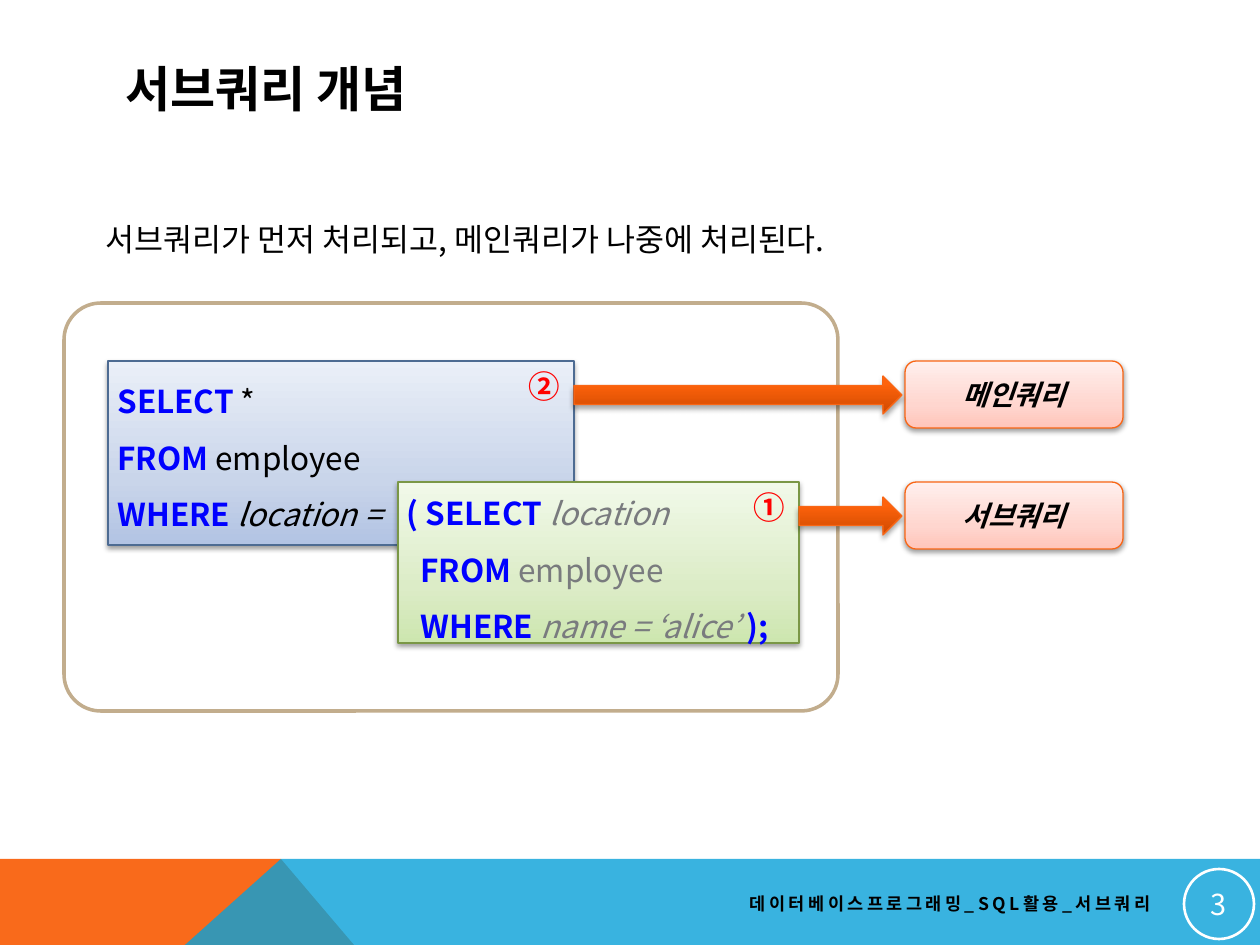
import lxml.etree
import pptx
import pptx.util
import pptx.dml.color
import pptx.enum.shapes
import pptx.enum.text
import pptx.oxml.ns

RGB = pptx.dml.color.RGBColor
KIND = pptx.enum.shapes.MSO_SHAPE
ALIGN = pptx.enum.text.PP_ALIGN
ANCHOR = pptx.enum.text.MSO_ANCHOR
FIT = pptx.enum.text.MSO_AUTO_SIZE
Pt = pptx.util.Pt
qn = pptx.oxml.ns.qn

SCALE = 914400 / 126
FONT = "Noto Sans CJK KR"
BLACK = RGB(0x00, 0x00, 0x00)
WHITE = RGB(0xFF, 0xFF, 0xFF)
BLUE = RGB(0x00, 0x00, 0xFF)
RED = RGB(0xFF, 0x00, 0x00)
GRAY = RGB(0x79, 0x7B, 0x7E)
TAN = RGB(0xC2, 0xAD, 0x8D)
ORANGE = RGB(0xF9, 0x6A, 0x1B)
SKY = RGB(0x08, 0xA1, 0xD9)
NAVY = RGB(0x4D, 0x6B, 0x92)
GREEN = RGB(0x7A, 0x97, 0x46)
RUST = RGB(0xF9, 0x66, 0x15)

# Gradient stops: percent and colour, from bottom to top
BLUES = [(0, RGB(0xB2, 0xC3, 0xE3)), (35, RGB(0xC9, 0xD5, 0xEA)), (100, RGB(0xEA, 0xEF, 0xF8))]
GREENS = [(0, RGB(0xCD, 0xE6, 0xAF)), (35, RGB(0xDC, 0xEC, 0xC7)), (100, RGB(0xF1, 0xF9, 0xE9))]
PINKS = [(0, RGB(0xFF, 0xC5, 0xBA)), (35, RGB(0xFF, 0xD6, 0xCF)), (100, RGB(0xFF, 0xEF, 0xED))]
FLAMES = [(0, RGB(0xCE, 0x49, 0x00)), (80, RGB(0xFF, 0x63, 0x0C)), (100, RGB(0xFF, 0x64, 0x0E))]


def emu(*px):
    """Turn pixels into EMU."""
    return [round(n * SCALE) for n in px]


def sub(node, tag, **attrs):
    """Add a child element with the given attributes."""
    return lxml.etree.SubElement(node, qn(tag), {k: str(v) for k, v in attrs.items()})


def add_run(para, text, size, color=BLACK, bold=False, italic=False):
    """Add one formatted run to a paragraph."""
    run = para.add_run()
    run.text = text
    font = run.font
    font.size, font.bold, font.italic = Pt(size), bold, italic
    font.name = FONT
    font.color.rgb = color
    sub(run._r.get_or_add_rPr(), "a:ea", typeface=FONT)
    return run


def add_text(slide, box, wrap=True):
    """Add an empty text box; return its frame."""
    frame = slide.shapes.add_textbox(*emu(*box)).text_frame
    frame.word_wrap = wrap
    frame.auto_size = FIT.NONE if wrap else FIT.SHAPE_TO_FIT_TEXT
    frame.vertical_anchor = ANCHOR.MIDDLE if wrap else ANCHOR.TOP
    return frame


def add_shape(slide, kind, box, line, width=0.75):
    """Add an outlined shape without fill or shadow."""
    shape = slide.shapes.add_shape(kind, *emu(*box))
    shape.shadow.inherit = False
    shape.fill.background()
    shape.line.color.rgb = line
    shape.line.width = Pt(width)
    return shape


def add_glow(slide, kind, box, line, stops, alpha=38, drop=1.6):
    """Add a shape with a vertical gradient and a soft shadow below."""
    shape = add_shape(slide, kind, box, line)
    shape.fill.gradient()
    shape.fill.gradient_angle = 90
    props = shape._element.spPr
    group = props.find(".//" + qn("a:gsLst"))
    for old in list(group):
        group.remove(old)
    for pos, color in stops:
        sub(sub(group, "a:gs", pos=pos * 1000), "a:srgbClr", val=color)
    shade = sub(props.find(qn("a:effectLst")), "a:outerShdw", blurRad=Pt(3.1),
                dist=Pt(drop), dir=5400000, rotWithShape=0)
    sub(sub(shade, "a:srgbClr", val="000000"), "a:alpha", val=alpha * 1000)
    return shape


def add_code(slide, box, lines, indent=0):
    """Add query lines; those after the first are indented."""
    frame = add_text(slide, box)
    for i, runs in enumerate(lines):
        para = frame.paragraphs[0] if i == 0 else frame.add_paragraph()
        para.line_spacing = 1.5
        if i and indent:
            para._p.get_or_add_pPr().set("marL", str(emu(indent)[0]))
        for run in runs:
            add_run(para, run[0], 18, *run[1:])


def add_query(slide, box, line, stops, mark, label, code, lines, indent=0):
    """Add a query panel with its code, step mark, arrow and name tag."""
    x, y, w, h = box
    add_glow(slide, KIND.RECTANGLE, box, line, stops)
    add_code(slide, code, lines, indent)
    frame = add_text(slide, (x + w - 58, y, 57, 50), wrap=False)
    add_run(frame.paragraphs[0], mark, 18, RED, True)
    tag = add_glow(slide, KIND.ROUNDED_RECTANGLE, (905, y, 218, 67), RUST, PINKS)
    tag.text_frame.vertical_anchor = ANCHOR.MIDDLE
    para = tag.text_frame.paragraphs[0]
    para.alignment = ALIGN.CENTER
    add_run(para, label, 16, BLACK, True, True)
    add_glow(slide, KIND.RIGHT_ARROW, (x + w, y + 15, 902 - x - w, 38), RUST, FLAMES, 35, 1.8)


def add_poly(slide, points, color):
    """Add a plain filled polygon."""
    build = slide.shapes.build_freeform(*points[0], scale=SCALE)
    build.add_line_segments(points[1:], close=True)
    shape = build.convert_to_shape()
    shape.shadow.inherit = False
    shape.fill.solid()
    shape.fill.fore_color.rgb = color
    shape.line.fill.background()
    return shape


def add_foot(slide, box, text, number):
    """Add the coloured band with the course name and page number."""
    x, y, w, h = box
    peak, end, low = x + 281, x + w, y + h
    add_poly(slide, [(x, y), (peak, y), (x + 354, low), (x, low)], ORANGE)
    band = add_poly(slide, [(x + 185, low), (peak, y), (end, y), (end, low)], SKY)
    sub(band._element.spPr.find(".//" + qn("a:srgbClr")), "a:alpha", val=80000)
    para = add_text(slide, (x + 512, y + 26, 651, 38)).paragraphs[0]
    para.alignment = ALIGN.RIGHT
    run = add_run(para, text, 10, BLACK, True)
    run._r.get_or_add_rPr().set("spc", "200")
    ring = add_shape(slide, KIND.OVAL, (end - 76, y + 10, 70, 70), WHITE, 1.5)
    frame = ring.text_frame
    frame.margin_left = frame.margin_right = emu(1)[0]
    frame.margin_top = frame.margin_bottom = emu(1)[0]
    frame.vertical_anchor = ANCHOR.MIDDLE
    frame.paragraphs[0].alignment = ALIGN.CENTER
    add_run(frame.paragraphs[0], number, 16.5, WHITE)


def add_title(slide, box, text):
    """Place and fill the title placeholder."""
    title = slide.shapes.title
    title.left, title.top, title.width, title.height = emu(*box)
    frame = title.text_frame
    frame.auto_size = FIT.NONE
    frame.vertical_anchor = ANCHOR.MIDDLE
    frame.paragraphs[0].alignment = ALIGN.LEFT
    add_run(frame.paragraphs[0], text, 28, BLACK, True)


def add_demo(slide, box):
    """Add the frame holding the main query and its subquery."""
    x, y, w, h = box
    panel = add_shape(slide, KIND.ROUNDED_RECTANGLE, box, TAN, 2)
    panel.adjustments[0] = 0.09
    panel.fill.solid()
    panel.fill.fore_color.rgb = WHITE
    add_query(slide, (x + 44, y + 58, 466, 184), NAVY, BLUES, "②", "메인쿼리",
              (x + 41, y + 58, 328, 174), [
                  [("SELECT", BLUE, True), ("\u00a0*",)],
                  [("FROM", BLUE, True), ("\u00a0employee",)],
                  [("WHERE\u00a0", BLUE, True), ("location =", BLACK, False, True)]])
    add_query(slide, (x + 334, y + 179, 401, 161), GREEN, GREENS, "①", "서브쿼리",
              (x + 330, y + 157, 586, 200), [
                  [("( SELECT\u00a0", BLUE, True), ("location", GRAY, False, True)],
                  [("FROM", BLUE, True), ("\u00a0employee", GRAY)],
                  [("WHERE\u00a0", BLUE, True), ("name = ‘alice’ ", GRAY, False, True),
                   (");", BLUE, True)]], indent=14)


def main():
    """Build the slide and save it."""
    deck = pptx.Presentation()
    deck.slide_width, deck.slide_height = emu(1260, 945)
    slide = deck.slides.add_slide(deck.slide_layouts[5])
    add_foot(slide, (0, 859, 1260, 86), "데이터베이스프로그래밍_SQL활용_서브쿼리", "3")
    add_title(slide, (113, 50, 1036, 76), "서브쿼리 개념")
    lead = add_text(slide, (93, 214, 820, 50), wrap=False)
    add_run(lead.paragraphs[0], "서브쿼리가 먼저 처리되고, 메인쿼리가 나중에 처리된다.", 18)
    add_demo(slide, (64, 303, 774, 408))
    deck.save("out.pptx")


main()
